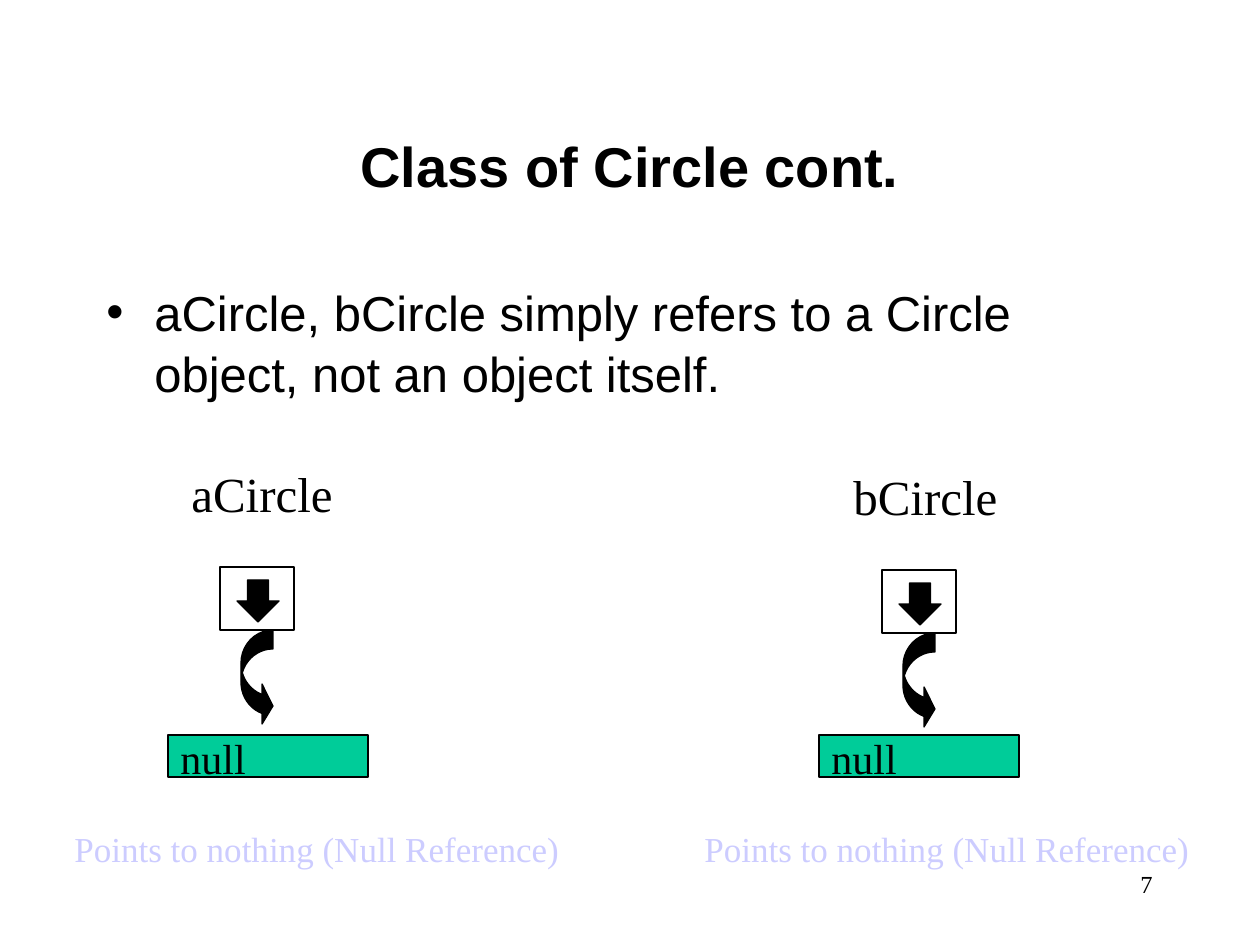
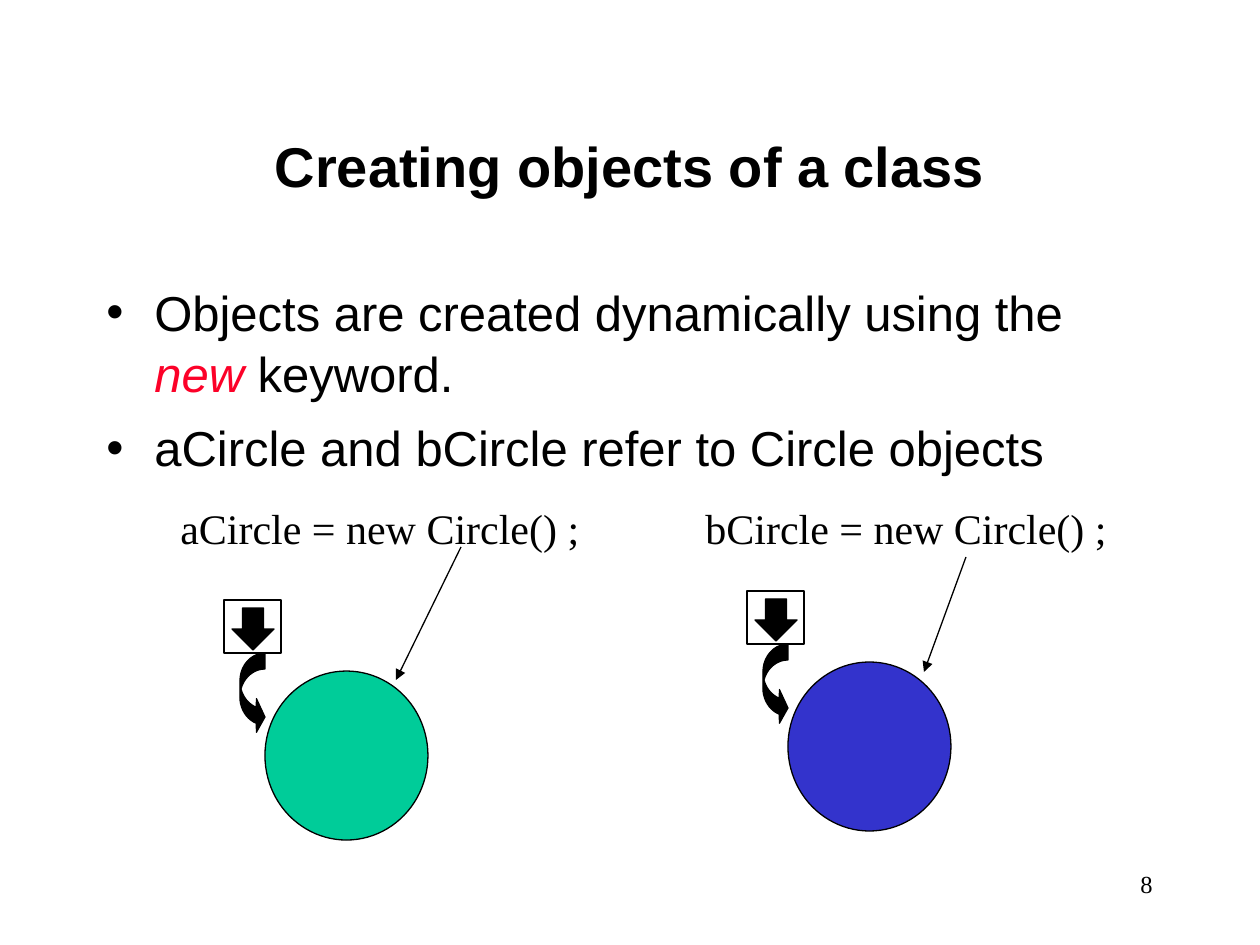
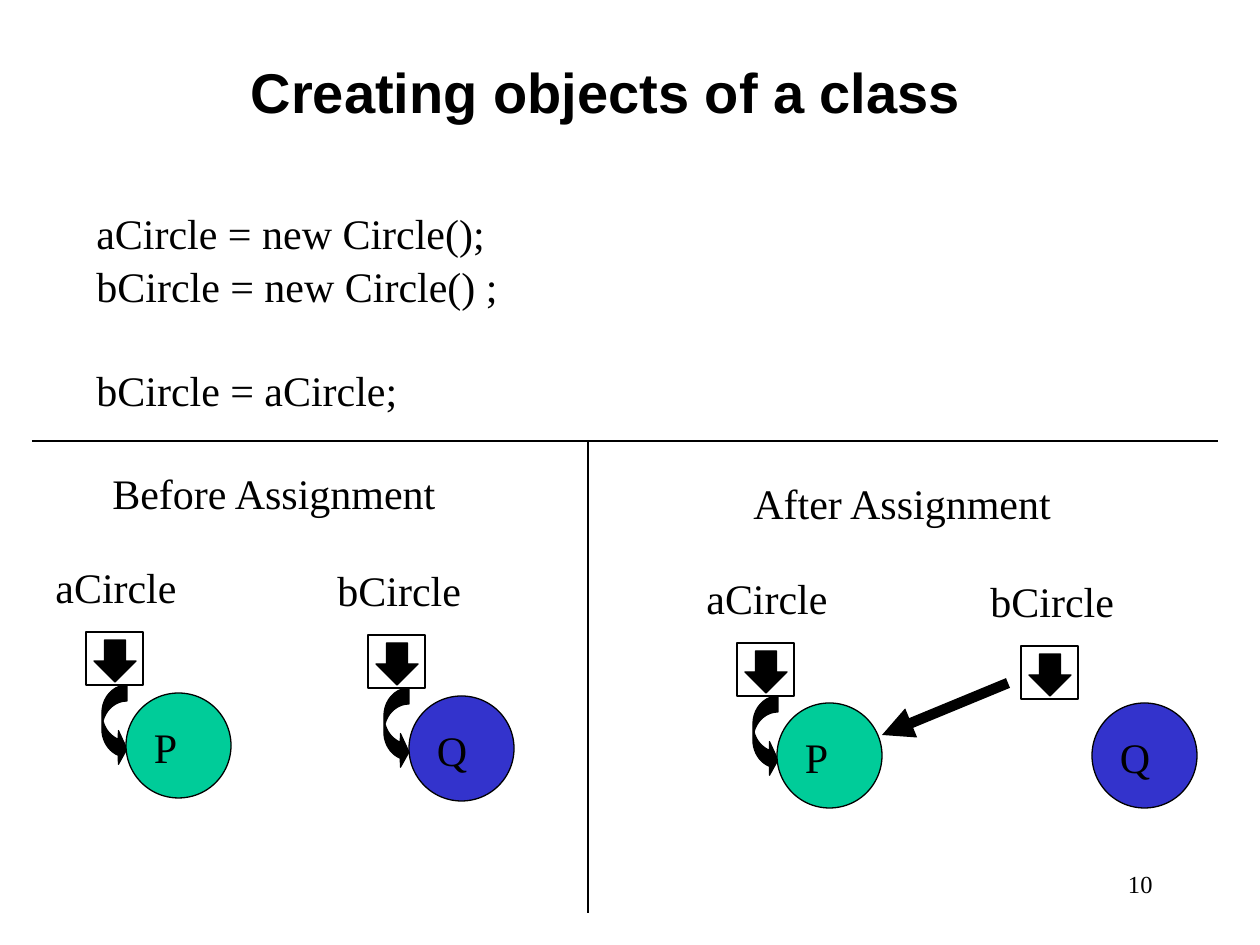
"""Build three slides on Circle references, object creation and assignment."""
from dataclasses import dataclass
from math import cos, radians, sin

from lxml.etree import SubElement
from pptx import Presentation
from pptx.dml.color import RGBColor
from pptx.enum.shapes import MSO_CONNECTOR, MSO_SHAPE
from pptx.enum.text import MSO_ANCHOR, MSO_AUTO_SIZE, PP_ALIGN
from pptx.oxml.ns import qn
from pptx.util import Emu, Pt


@dataclass(frozen=True)
class Theme:
    heading_font: str = "Arial"
    label_font: str = "Times New Roman"
    ink: str = "000000"
    paper: str = "FFFFFF"
    green: str = "00CC99"
    blue: str = "3333CC"
    note: str = "CCCCFF"
    keyword: str = "FC0128"
    title_size: int = 32
    body_size: int = 28
    code_size: int = 24
    note_size: int = 20
    number_size: int = 14
    line_spacing: float = 1.05
    bullet_gap: int = 7
    blank_line: int = 29
    hairline: float = 0.75


THEME = Theme()
EMU_PER_PX = 914400 / 126
TITLE_BOX = (94, 84, 1072, 158)
TOP_TITLE_BOX = (0, 21, 1212, 136)
BODY_BOX = (94, 273, 1072, 567)
NUMBER_BOX = (903, 861, 262, 63)
DOWN_ARROW_SIZE = 42

NULL_REFERENCES = [
    {"name": "aCircle", "box": (220, 567), "null": (168, 735), "note": (62, 819)},
    {"name": "bCircle", "box": (882, 570), "null": (819, 735), "note": (692, 819)},
]
NEW_OBJECTS = [
    {"code": "aCircle = new Circle() ;", "code_box": (168, 494, 441, 63), "box": (224, 600),
     "fill": THEME.green, "arrow": ((461, 547), (396, 680))},
    {"code": "bCircle = new Circle() ;", "code_box": (693, 494, 535, 63), "box": (747, 591),
     "fill": THEME.blue, "arrow": ((966, 557), (924, 672))},
]
ASSIGNMENT_HEADINGS = [
    ("Before Assignment", (100, 459, 365, 63)),
    ("After Assignment", (741, 469, 340, 63)),
]
ASSIGNMENT_REFERENCES = [
    {"name": "aCircle", "box": (86, 632), "circle": (126, 693), "letter": "P", "linked": True},
    {"name": "bCircle", "box": (368, 635), "circle": (409, 696), "letter": "Q", "linked": True},
    {"name": "aCircle", "box": (737, 643), "circle": (777, 703), "letter": "P", "linked": True},
    {"name": "bCircle", "box": (1021, 646), "circle": (1092, 703), "letter": "Q", "linked": False},
]
CIRCLE_FILLS = {"P": THEME.green, "Q": THEME.blue}


def px(length):
    return Emu(round(length * EMU_PER_PX))


def add_bullet(paragraph):
    properties = paragraph._p.get_or_add_pPr()
    properties.set("marL", str(px(48)))
    properties.set("indent", str(-px(48)))
    SubElement(properties, qn("a:buFont"), typeface=THEME.heading_font)
    SubElement(properties, qn("a:buChar"), char="•")


def write(shape, paragraphs, size=THEME.code_size, font=THEME.label_font, color=THEME.ink,
          bold=False, align=PP_ALIGN.LEFT, anchor=MSO_ANCHOR.TOP, bullets=False, gaps=()):
    """Fill a shape; a paragraph is text or a list of (text, color, italic) runs."""
    frame = shape.text_frame
    frame.word_wrap = True
    frame.auto_size = MSO_AUTO_SIZE.NONE
    frame.vertical_anchor = anchor
    for index, content in enumerate(paragraphs):
        paragraph = frame.add_paragraph() if index else frame.paragraphs[0]
        if bullets:
            add_bullet(paragraph)
        paragraph.alignment = align
        paragraph.line_spacing = THEME.line_spacing
        paragraph.space_before = Pt(gaps[index] if gaps else 0)
        runs = [(content, color, False)] if isinstance(content, str) else content
        for text, run_color, italic in runs:
            run = paragraph.add_run()
            run.text = text
            run.font.name = font
            run.font.size = Pt(size)
            run.font.bold = bold
            run.font.italic = italic
            run.font.color.rgb = RGBColor.from_string(run_color)


def add_text(slide, box, paragraphs, **text_format):
    write(slide.shapes.add_textbox(*map(px, box)), paragraphs, **text_format)


def paint(shape, fill):
    shape.shadow.inherit = False
    shape.fill.solid()
    shape.fill.fore_color.rgb = RGBColor.from_string(fill)
    shape.line.color.rgb = RGBColor.from_string(THEME.ink)
    shape.line.width = Pt(THEME.hairline)


def add_block(slide, kind, box, fill):
    shape = slide.shapes.add_shape(kind, *map(px, box))
    paint(shape, fill)
    return shape


def add_line(slide, start, end, width=THEME.hairline, arrow=False):
    line = slide.shapes.add_connector(MSO_CONNECTOR.STRAIGHT, *map(px, (*start, *end)))
    line.line.color.rgb = RGBColor.from_string(THEME.ink)
    line.line.width = Pt(width)
    if arrow:
        SubElement(line.line._get_or_add_ln(), qn("a:tailEnd"), type="triangle")
    SubElement(line._element.spPr, qn("a:effectLst"))


def arc(center_y, first, last, steps=10):
    angles = [radians(first + (last - first) * step / steps) for step in range(steps + 1)]
    return [(1 - cos(angle), center_y + 0.35 * sin(angle)) for angle in angles]


def add_curved_arrow(slide, left, top, width, height):
    head = [(0.66, 0.99), (1, 0.8), (0.66, 0.57)]
    outer = arc(0.35, -90, 0) + arc(0.55, 0, 70)
    inner = arc(0.35, 70, 17) + arc(0.55, -17, -90)
    points = [(px(left + x * width), px(top + y * height)) for x, y in outer + head + inner]
    builder = slide.shapes.build_freeform(*points[0])
    builder.add_line_segments(points[1:], close=True)
    paint(builder.convert_to_shape(), THEME.ink)


def add_reference(slide, corner, size=(57, 53), curve=(25, 80), curve_offset=16, linked=True):
    left, top = corner
    width, height = size
    add_block(slide, MSO_SHAPE.RECTANGLE, (*corner, *size), THEME.paper)
    arrow_left = left + (width - DOWN_ARROW_SIZE) // 2 + 1
    arrow_top = top + (height - DOWN_ARROW_SIZE) // 2 + 3
    if linked:
        add_curved_arrow(slide, left + curve_offset, top + height, *curve)
    add_block(slide, MSO_SHAPE.DOWN_ARROW,
              (arrow_left, arrow_top, DOWN_ARROW_SIZE, DOWN_ARROW_SIZE), THEME.ink)


def start_slide(presentation, title, number, title_box=TITLE_BOX):
    slide = presentation.slides.add_slide(presentation.slide_layouts[5])
    heading = slide.shapes.title
    heading.left, heading.top, heading.width, heading.height = map(px, title_box)
    write(heading, [title], size=THEME.title_size, font=THEME.heading_font, bold=True,
          align=PP_ALIGN.CENTER, anchor=MSO_ANCHOR.MIDDLE)
    add_text(slide, NUMBER_BOX, [number], size=THEME.number_size, align=PP_ALIGN.RIGHT)
    return slide


def add_body(slide, paragraphs):
    gaps = [0] + [THEME.bullet_gap] * (len(paragraphs) - 1)
    add_text(slide, BODY_BOX, paragraphs, size=THEME.body_size, font=THEME.heading_font,
             bullets=True, gaps=gaps)


def build_null_slide(presentation):
    slide = start_slide(presentation, "Class of Circle cont.", "7")
    add_body(slide, ["aCircle, bCircle simply refers to a Circle object, not an object itself."])
    for reference in NULL_REFERENCES:
        left, top = reference["box"]
        add_text(slide, (left - 41, top - 113, 180, 72), [reference["name"]],
                 size=THEME.body_size)
        add_reference(slide, (left, top), size=(74, 63), curve=(32, 95), curve_offset=21)
        null_box = add_block(slide, MSO_SHAPE.RECTANGLE, (*reference["null"], 200, 42),
                             THEME.green)
        write(null_box, ["null"], anchor=MSO_ANCHOR.MIDDLE)
        add_text(slide, (*reference["note"], 525, 55), ["Points to nothing (Null Reference)"],
                 size=THEME.note_size, color=THEME.note)


def build_creation_slide(presentation):
    slide = start_slide(presentation, "Creating objects of a class", "8")
    add_body(slide, [
        [("Objects are created dynamically using the ", THEME.ink, False),
         ("new", THEME.keyword, True), (" keyword.", THEME.ink, False)],
        "aCircle and bCircle refer to Circle objects",
    ])
    for item in NEW_OBJECTS:
        left, top = item["box"]
        add_text(slide, item["code_box"], [item["code"]])
        add_reference(slide, (left, top))
        add_block(slide, MSO_SHAPE.OVAL, (left + 41, top + 71, 163, 169), item["fill"])
        add_line(slide, *item["arrow"], arrow=True)


def build_assignment_slide(presentation):
    slide = start_slide(presentation, "Creating objects of a class", "10", TOP_TITLE_BOX)
    add_text(slide, (84, 199, 535, 214),
             ["aCircle = new Circle();", "bCircle = new Circle() ;", "bCircle = aCircle;"],
             gaps=(0, 0, THEME.blank_line))
    for heading, box in ASSIGNMENT_HEADINGS:
        add_text(slide, box, [heading])
    for reference in ASSIGNMENT_REFERENCES:
        left, top = reference["box"]
        add_text(slide, (left - 43, top - 79, 160, 63), [reference["name"]])
        add_reference(slide, (left, top), linked=reference["linked"])
        letter = reference["letter"]
        circle = add_block(slide, MSO_SHAPE.OVAL, (*reference["circle"], 105, 105),
                           CIRCLE_FILLS[letter])
        write(circle, [letter], anchor=MSO_ANCHOR.MIDDLE)
    add_line(slide, (1008, 683), (882, 735), width=6, arrow=True)
    add_line(slide, (588, 441), (588, 913))
    add_line(slide, (32, 441), (1218, 441))


def main():
    presentation = Presentation()
    presentation.slide_width = px(1260)
    presentation.slide_height = px(945)
    build_null_slide(presentation)
    build_creation_slide(presentation)
    build_assignment_slide(presentation)
    presentation.save("out.pptx")


if __name__ == "__main__":
    main()
